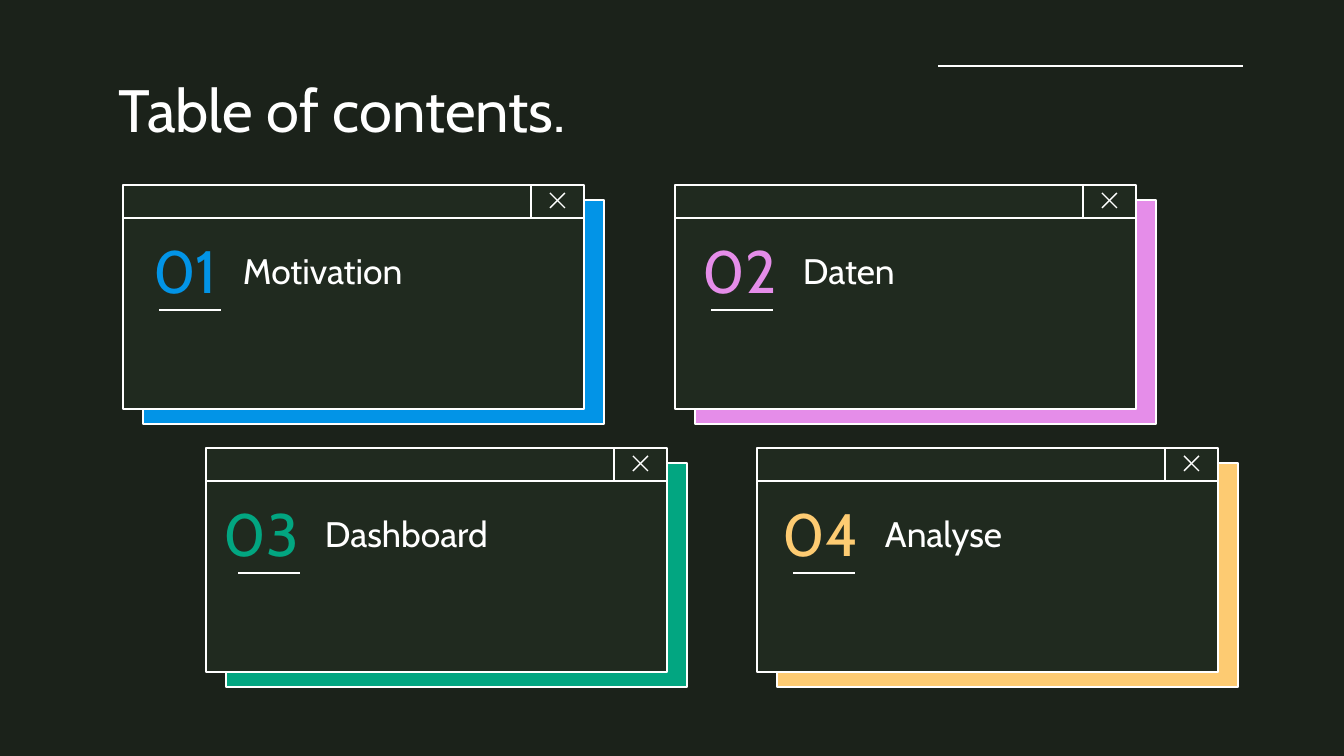
import pptx
import pptx.util
import pptx.dml.color
import pptx.enum.shapes
import pptx.enum.text
import pptx.oxml.ns
import lxml.etree

RGBColor = pptx.dml.color.RGBColor
Align = pptx.enum.text.PP_ALIGN

BACKGROUND = RGBColor(0x1B, 0x22, 0x1A)
PANEL = RGBColor(0x20, 0x2A, 0x1F)
WHITE = RGBColor(0xFF, 0xFF, 0xFF)
BLUE = RGBColor(0x02, 0x94, 0xE7)
PINK = RGBColor(0xE5, 0x8D, 0xE9)
GREEN = RGBColor(0x02, 0xA6, 0x81)
YELLOW = RGBColor(0xFD, 0xCB, 0x72)

SLIDE_WIDTH, SLIDE_HEIGHT = 1344, 756
EMU_PER_PX = 9144000 / SLIDE_WIDTH

CARD_WIDTH, CARD_HEIGHT = 461, 224
BAR_HEIGHT, DIVIDER = 33, 408
SHADOW_X, SHADOW_Y = 20, 15

# number, label, colour, left, top, text offset, underline offset
CARDS = [
    ("04", "Analyse", YELLOW, 757, 448, 115, 36),
    ("03", "Dashboard", GREEN, 206, 448, 106, 32),
    ("02", "Daten", PINK, 675, 185, 115, 36),
    ("01", "Motivation", BLUE, 123, 185, 107, 36),
]


def px(*lengths):
    return [pptx.util.Emu(round(length * EMU_PER_PX)) for length in lengths]


class SlideBuilder:
    font_name = "Cabin"
    line_width = pptx.util.Pt(0.75)
    inset = px(13)[0]

    def __init__(self, slide):
        self.slide = slide

    def background(self, color):
        fill = self.slide.background.fill
        fill.solid()
        fill.fore_color.rgb = color

    def outline(self, line):
        line.color.rgb = WHITE
        line.width = self.line_width

    def rectangle(self, parent, left, top, width, height, color):
        shape = parent.add_shape(pptx.enum.shapes.MSO_SHAPE.RECTANGLE,
                                 *px(left, top, width, height))
        shape.shadow.inherit = False
        shape.fill.solid()
        shape.fill.fore_color.rgb = color
        self.outline(shape.line)

    def line(self, parent, x1, y1, x2, y2):
        connector = parent.add_connector(pptx.enum.shapes.MSO_CONNECTOR.STRAIGHT,
                                         *px(x1, y1, x2, y2))
        self.outline(connector.line)
        properties = connector._element.spPr
        lxml.etree.SubElement(properties, pptx.oxml.ns.qn("a:effectLst"))

    def text(self, left, top, width, height, words, size, color=WHITE, align=Align.LEFT):
        box = self.slide.shapes.add_textbox(*px(left, top, width, height))
        frame = box.text_frame
        frame_format = {"word_wrap": True,
                        "vertical_anchor": pptx.enum.text.MSO_ANCHOR.MIDDLE}
        for side in ("left", "top", "right", "bottom"):
            frame_format["margin_" + side] = self.inset
        for name, value in frame_format.items():
            setattr(frame, name, value)
        paragraph = frame.paragraphs[0]
        paragraph.alignment = align
        run = paragraph.add_run()
        run.text = words
        for name, value in {"name": self.font_name, "size": pptx.util.Pt(size)}.items():
            setattr(run.font, name, value)
        run.font.color.rgb = color

    def window(self, left, top, color):
        parent = self.slide.shapes.add_group_shape().shapes
        self.rectangle(parent, left + SHADOW_X, top + SHADOW_Y,
                       CARD_WIDTH, CARD_HEIGHT, color)
        self.rectangle(parent, left, top, CARD_WIDTH, CARD_HEIGHT, PANEL)
        # Close button
        x1, x2, y1, y2 = left + 427, left + 442, top + 8, top + 23
        self.line(parent, x1, y1, x2, y2)
        self.line(parent, x2, y1, x1, y2)
        # Title bar
        bar_bottom = top + BAR_HEIGHT
        self.line(parent, left, bar_bottom, left + CARD_WIDTH, bar_bottom)
        self.line(parent, left + DIVIDER, top, left + DIVIDER, bar_bottom)

    def entry(self, number, label, color, left, top, text_offset, underline_offset):
        text_left, text_top = left + text_offset, top + 46
        self.text(text_left, text_top, 329, 78, label, 19)
        self.text(text_left - 129, text_top, 129, 78, number, 32, color, Align.RIGHT)
        underline_left, underline_top = left + underline_offset, top + 125
        self.line(self.slide.shapes, underline_left + 62, underline_top,
                  underline_left, underline_top)


def main():
    presentation = pptx.Presentation()
    presentation.slide_width, presentation.slide_height = px(SLIDE_WIDTH, SLIDE_HEIGHT)
    slide = presentation.slides.add_slide(presentation.slide_layouts[6])
    builder = SlideBuilder(slide)

    # Background and accent line
    builder.background(BACKGROUND)
    builder.line(slide.shapes, 1243, 66, 938, 66)

    # Windows
    for number, label, color, left, top, *offsets in CARDS:
        builder.window(left, top, color)

    # Heading and contents
    builder.text(106, 66, 1133, 85, "Table of contents.", 32)
    for card in reversed(CARDS):
        builder.entry(*card)

    presentation.save("out.pptx")


if __name__ == "__main__":
    main()
